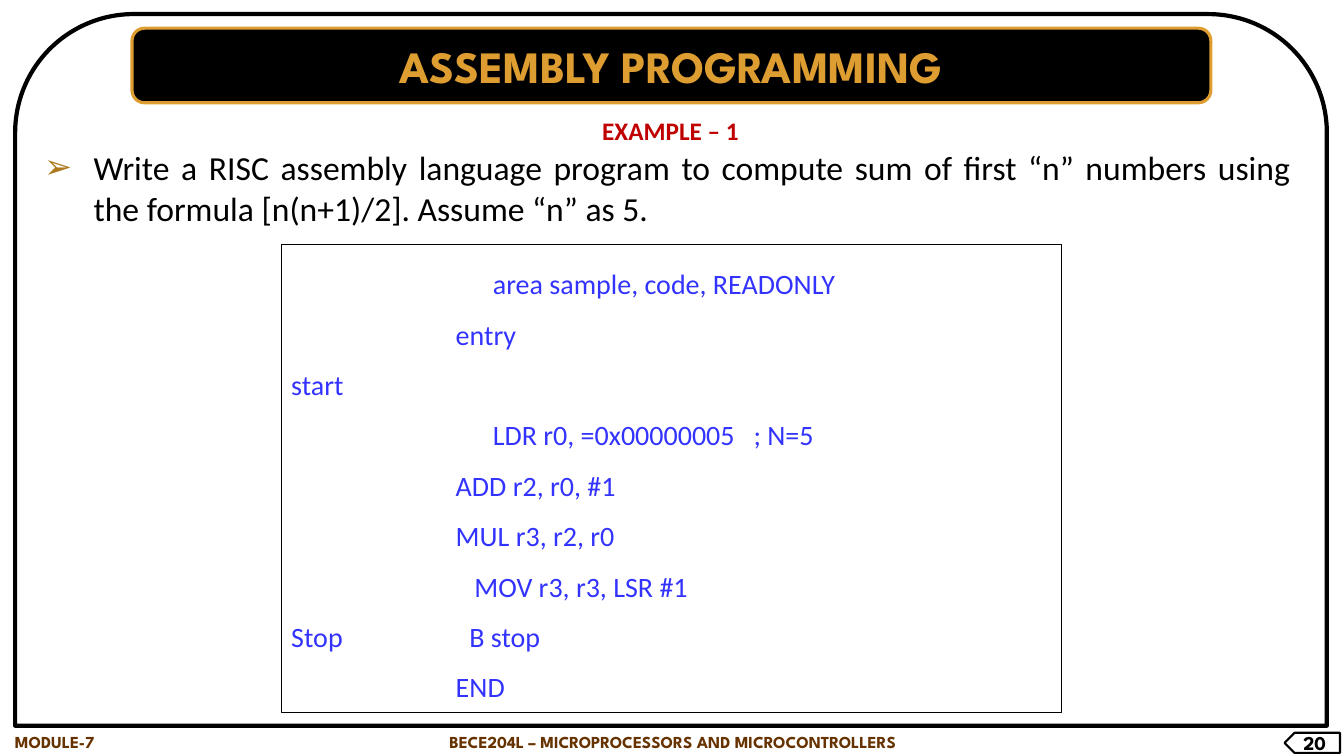
import pptx
import pptx.util
import pptx.dml.color
import pptx.enum.shapes
import pptx.enum.text
import pptx.oxml.ns
import lxml.etree

PX = 9144
KIND = pptx.enum.shapes.MSO_SHAPE
ALIGN = pptx.enum.text.PP_ALIGN
MIDDLE = pptx.enum.text.MSO_ANCHOR.MIDDLE
TOP = pptx.enum.text.MSO_ANCHOR.TOP
HEAD = "League Spartan"
BODY = "Calibri"
GOLD = "DD9D31"
BROWN = "663300"

CODE = [
    "\t\tarea sample, code, READONLY",
    "                          entry",
    "start",
    "\t\tLDR r0, =0x00000005   ; N=5",
    "                          ADD r2, r0, #1",
    "                          MUL r3, r2, r0",
    "\t             MOV r3, r3, LSR #1",
    "Stop                    B stop",
    "                          END",
]


def color(code):
    return pptx.dml.color.RGBColor.from_string(code)


def scale(box):
    return [n * PX for n in box]


def node(parent, name, **attrs):
    item = lxml.etree.SubElement(parent, pptx.oxml.ns.qn(name))
    for key, value in attrs.items():
        item.set(key, str(value))
    return item


def panel(slide, kind, box, width, line="000000", fill=None):
    shape = slide.shapes.add_shape(kind, *scale(box))
    shape.shadow.inherit = False
    if fill:
        shape.fill.solid()
        shape.fill.fore_color.rgb = color(fill)
    else:
        shape.fill.background()
    shape.line.color.rgb = color(line)
    shape.line.width = pptx.util.Pt(width)
    return shape


def bullet(para, mark, ink, indent):
    props = para._p.get_or_add_pPr()
    props.set("marL", str(indent * PX))
    props.set("indent", str(-indent * PX))
    node(node(props, "a:buClr"), "a:srgbClr", val=ink)
    node(props, "a:buFont", typeface=BODY)
    node(props, "a:buChar", char=mark)


def stops(para, places):
    tabs = node(para._p.get_or_add_pPr(), "a:tabLst")
    for place in places:
        node(tabs, "a:tab", pos=place * PX, algn="l")


def write(shape, lines, size, face, ink, bold=False, align=ALIGN.LEFT,
          anchor=TOP, space=None, tabs=(), mark=None):
    frame = shape.text_frame
    frame.word_wrap = True
    frame.auto_size = pptx.enum.text.MSO_AUTO_SIZE.NONE
    frame.vertical_anchor = anchor
    frame.text = "\n".join(lines)
    for para in frame.paragraphs:
        para.alignment = align
        para.line_spacing = space
        if mark:
            bullet(para, *mark)
        if tabs:
            stops(para, tabs)
        font = para.font
        font.size = pptx.util.Pt(size)
        font.name = face
        font.bold = bold
        font.color.rgb = color(ink)


def label(slide, box, text, *style, **more):
    shape = slide.shapes.add_textbox(*scale(box))
    write(shape, [text], *style, **more)


def header(slide, box):
    panel(slide, KIND.ROUNDED_RECTANGLE, box, 2.25, GOLD, "000000")
    title = slide.shapes.title
    title.left, title.top, title.width, title.height = scale(box)
    slide.shapes._spTree.append(title._element)
    write(title, ["ASSEMBLY PROGRAMMING"], 32, HEAD, GOLD, True,
          ALIGN.CENTER, MIDDLE)


def task(slide, box):
    x, y, w, h = box
    label(slide, (x, y, w - 6, 40), "EXAMPLE – 1", 18, BODY, "C00000", True,
          ALIGN.CENTER)
    label(slide, (x, y + 32, w - 12, h - 32),
          "Write a RISC assembly language program to compute sum of first “n” "
          "numbers using the formula [n(n+1)/2]. Assume “n” as 5.",
          24, BODY, "000000", align=ALIGN.JUSTIFY,
          mark=("➢", "AE781D", 49))


def listing(slide, box):
    shape = panel(slide, KIND.RECTANGLE, box, 0.75)
    write(shape, CODE, 20, BODY, "3333FF", space=1.5, tabs=(100, 200))


def footer(slide, box):
    x, y, w, h = box
    label(slide, (x, y, 126, h), "MODULE-7", 12, HEAD, BROWN, True)
    label(slide, (x + 362, y, 601, h),
          "BECE204L – MICROPROCESSORS AND MICROCONTROLLERS",
          12, HEAD, BROWN, True, ALIGN.CENTER)
    tag = panel(slide, KIND.PENTAGON, (x + w - 55, y + 6, 55, 20), 1.5,
                fill="FFFFFF")
    tag._element.spPr.xfrm.set("flipH", "1")
    write(tag, ["20"], 14, HEAD, "000000", True, ALIGN.CENTER, MIDDLE)


def main():
    deck = pptx.Presentation()
    deck.slide_width, deck.slide_height = scale((1333, 750))
    slide = deck.slides.add_slide(deck.slide_layouts[5])
    header(slide, (131, 28, 1070, 74))
    panel(slide, KIND.ROUND_2_SAME_RECTANGLE, (15, 14, 1301, 706), 3)
    footer(slide, (5, 721, 1324, 30))
    listing(slide, (279, 243, 774, 464))
    task(slide, (34, 109, 1268, 123))
    deck.save("out.pptx")


if __name__ == "__main__":
    main()
